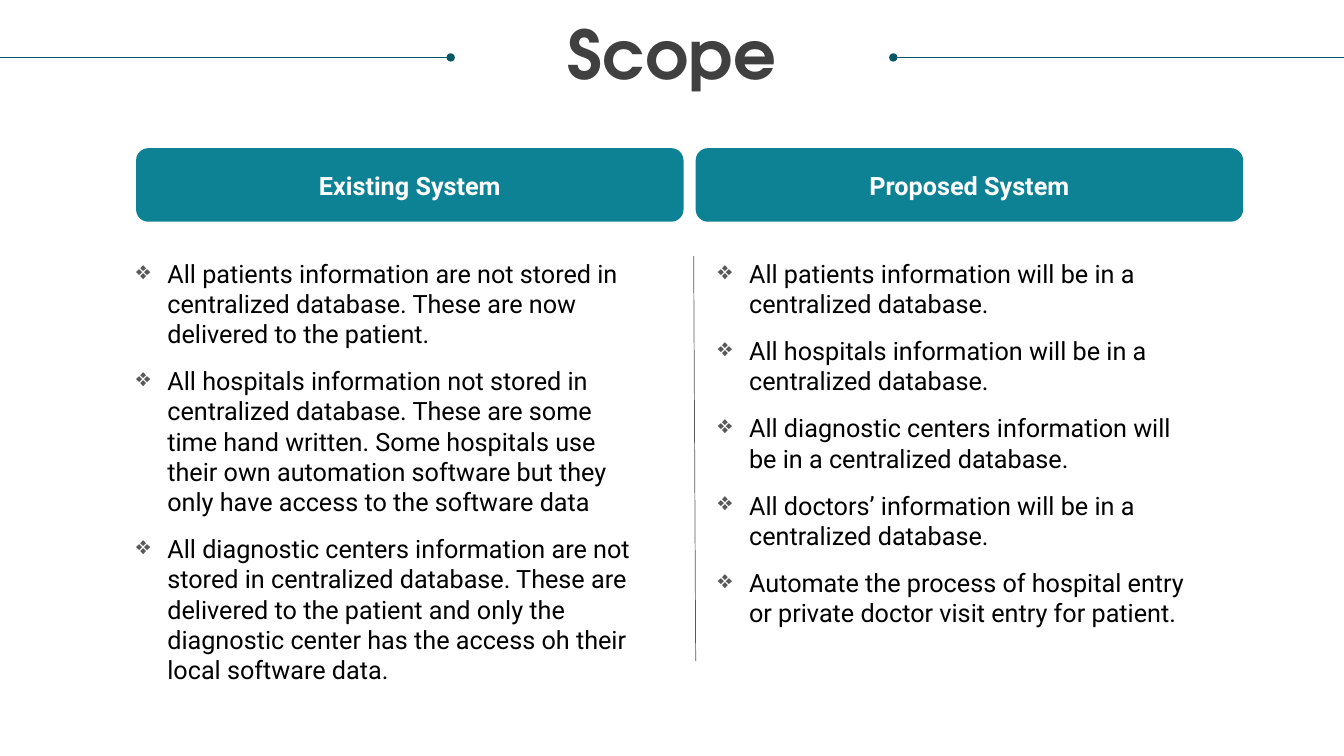
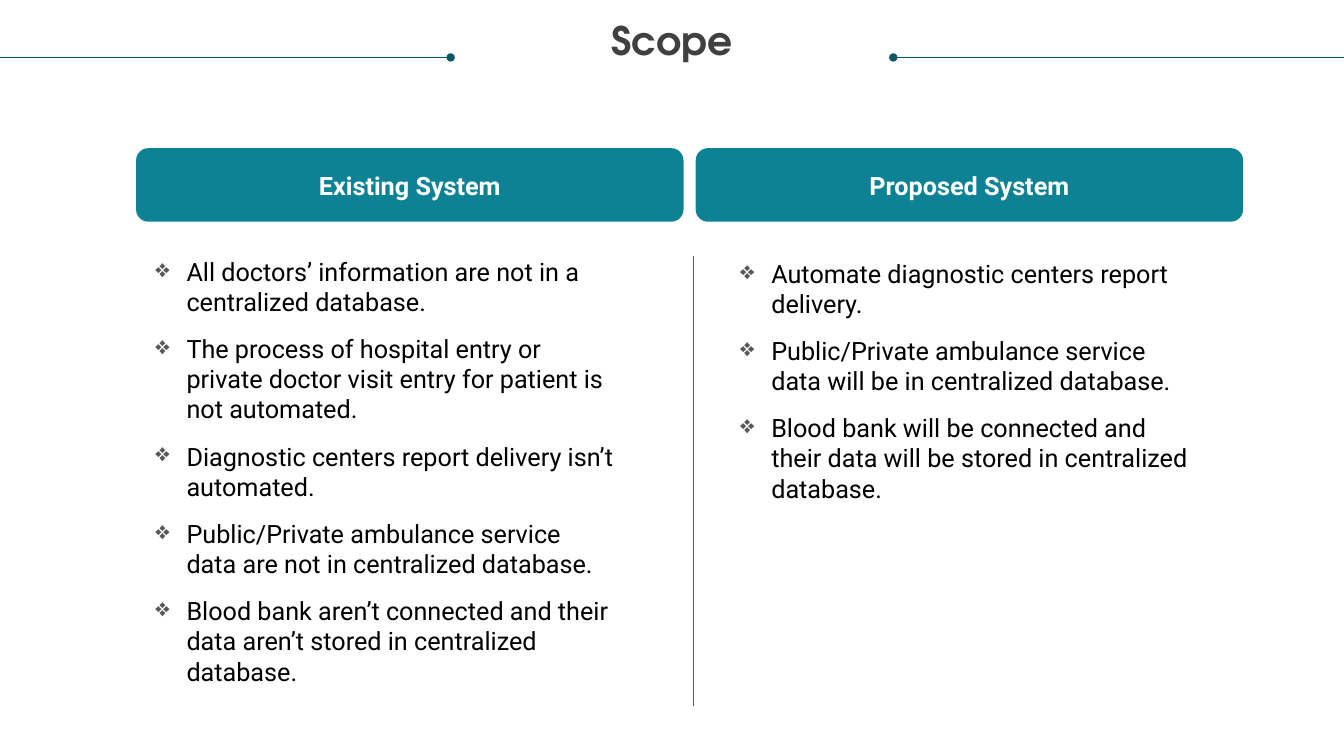
from dataclasses import dataclass

from lxml import etree
from pptx import Presentation
from pptx import util as u
from pptx.dml.color import RGBColor
from pptx.enum import shapes, text
from pptx.oxml import ns

PX = 9144  # EMU per px, 100 px to the inch
SLIDE_W, SLIDE_H = 1333, 750

TEAL, DARK_TEAL = "0D8295", "085764"
TITLE_GREY, RULE_GREY = "404040", "585858"
WHITE, BLACK = "FFFFFF", "000000"
TITLE_FONT, BODY_FONT = "TeX Gyre Adventor", "Roboto"

RULE_Y, RULE_LEN = 57, 447
HEADER_TOP, HEADER_W, HEADER_H = 147, 543, 73
HEADERS = (("Existing System", 135), ("Proposed System", 690))
DIVIDER_X, DIVIDER_TOP = 688, 254
BULLET_INDENT = 31


@dataclass(frozen=True)
class Box:
    left: int
    top: int
    width: int
    height: int

    def emu(self) -> tuple[int, ...]:
        return tuple(v * PX for v in (self.left, self.top, self.width, self.height))


@dataclass(frozen=True)
class BulletList:
    box: Box
    items: tuple[str, ...]


@dataclass(frozen=True)
class ScopeSlide:
    title_size: int
    divider_end: tuple[int, int]
    lists: tuple[BulletList, BulletList]


SLIDES = (
    ScopeSlide(48, (690, 656), (
        BulletList(Box(135, 256, 499, 471), (
            "All patients information are not stored in centralized database. "
            "These are now delivered to the patient.",
            "All hospitals information not stored in centralized database. "
            "These are some time hand written. Some hospitals use their own "
            "automation software but they only have access to the software data",
            "All diagnostic centers information are not stored in centralized "
            "database. These are delivered to the patient and only the diagnostic "
            "center has the access oh their local software data.",
        )),
        BulletList(Box(712, 256, 477, 411), (
            "All patients information will be in a centralized database.",
            "All hospitals information will be in a centralized database.",
            "All diagnostic centers information will be in a centralized database.",
            "All doctors’ information will be in a centralized database.",
            "Automate the process of hospital entry or private doctor visit entry "
            "for patient.",
        )),
    )),
    ScopeSlide(28, (DIVIDER_X, 700), (
        BulletList(Box(154, 254, 455, 431), (
            "All doctors’ information are not in a centralized database.",
            "The process of hospital entry or private doctor visit entry for "
            "patient is not automated.",
            "Diagnostic centers report delivery isn’t automated.",
            "Public/Private ambulance service data are not in centralized database.",
            "Blood bank aren’t connected and their data aren’t stored in "
            "centralized database.",
        )),
        BulletList(Box(734, 256, 455, 246), (
            "Automate diagnostic centers report delivery.",
            "Public/Private ambulance service data will be in centralized database.",
            "Blood bank will be connected and their data will be stored in "
            "centralized database.",
        )),
    )),
)


def rgb(color: str) -> RGBColor:
    return RGBColor.from_string(color)


def style_runs(p, size: int, color: str, font: str = BODY_FONT,
               bold: bool = False) -> None:
    for r in p.runs:
        r.font.size = u.Pt(size)
        r.font.name = font
        r.font.bold = bold
        r.font.color.rgb = rgb(color)


def add_line(s, start: tuple[int, int], end: tuple[int, int], color: str,
             dot: bool = False) -> None:
    """Draw a thin line, with a dot at its start if asked."""
    line = s.shapes.add_connector(
        shapes.MSO_CONNECTOR.STRAIGHT, *(v * PX for v in start + end))
    line.line.width = u.Pt(0.5)
    line.line.color.rgb = rgb(color)
    if dot:
        etree.SubElement(line.line._get_or_add_ln(), ns.qn("a:headEnd"), type="oval")
    etree.SubElement(line._element.spPr, ns.qn("a:effectLst"))


def add_text_frame(s, box: Box):
    """Add a wrapping text box without margins and return its frame."""
    tf = s.shapes.add_textbox(*box.emu()).text_frame
    tf.word_wrap = True
    tf.auto_size = text.MSO_AUTO_SIZE.SHAPE_TO_FIT_TEXT
    tf.margin_left = tf.margin_top = tf.margin_right = tf.margin_bottom = 0
    return tf


def add_title(s, size: int) -> None:
    p = add_text_frame(s, Box(25, 21, 1283, 73)).paragraphs[0]
    p.text = "Scope"
    p.alignment = text.PP_ALIGN.CENTER
    p.line_spacing = 0.9
    style_runs(p, size, TITLE_GREY, TITLE_FONT, bold=True)


def add_header(s, label: str, left: int) -> None:
    box = Box(left, HEADER_TOP, HEADER_W, HEADER_H)
    sp = s.shapes.add_shape(shapes.MSO_SHAPE.ROUNDED_RECTANGLE, *box.emu())
    sp.shadow.inherit = False
    sp.fill.solid()
    sp.fill.fore_color.rgb = rgb(TEAL)
    sp.line.fill.background()
    sp.text_frame.text = label
    sp.text_frame.vertical_anchor = text.MSO_ANCHOR.MIDDLE
    p = sp.text_frame.paragraphs[0]
    p.alignment = text.PP_ALIGN.CENTER
    style_runs(p, 18, WHITE, bold=True)


def add_bullet(p) -> None:
    pPr = p._p.get_or_add_pPr()
    pPr.set("marL", str(BULLET_INDENT * PX))
    pPr.set("indent", str(-BULLET_INDENT * PX))
    color = etree.SubElement(pPr, ns.qn("a:buClr"))
    etree.SubElement(color, ns.qn("a:srgbClr"), val=RULE_GREY)
    etree.SubElement(pPr, ns.qn("a:buChar"), char="❖")


def add_bullet_list(s, bullets: BulletList) -> None:
    tf = add_text_frame(s, bullets.box)
    tf.text = "\n".join(bullets.items)
    for p in tf.paragraphs:
        p.space_before = u.Pt(12)
        add_bullet(p)
        style_runs(p, 18, BLACK)


def add_scope_slide(prs, content: ScopeSlide) -> None:
    s = prs.slides.add_slide(prs.slide_layouts[6])
    for dot_x, edge_x in ((RULE_LEN, 0), (SLIDE_W - RULE_LEN, SLIDE_W)):
        add_line(s, (dot_x, RULE_Y), (edge_x, RULE_Y), DARK_TEAL, dot=True)
    add_title(s, content.title_size)
    for label, left in HEADERS:
        add_header(s, label, left)
    add_line(s, (DIVIDER_X, DIVIDER_TOP), content.divider_end, RULE_GREY)
    for bullets in content.lists:
        add_bullet_list(s, bullets)


def main() -> None:
    prs = Presentation()
    prs.slide_width, prs.slide_height = SLIDE_W * PX, SLIDE_H * PX
    for content in SLIDES:
        add_scope_slide(prs, content)
    prs.save("out.pptx")


if __name__ == "__main__":
    main()
